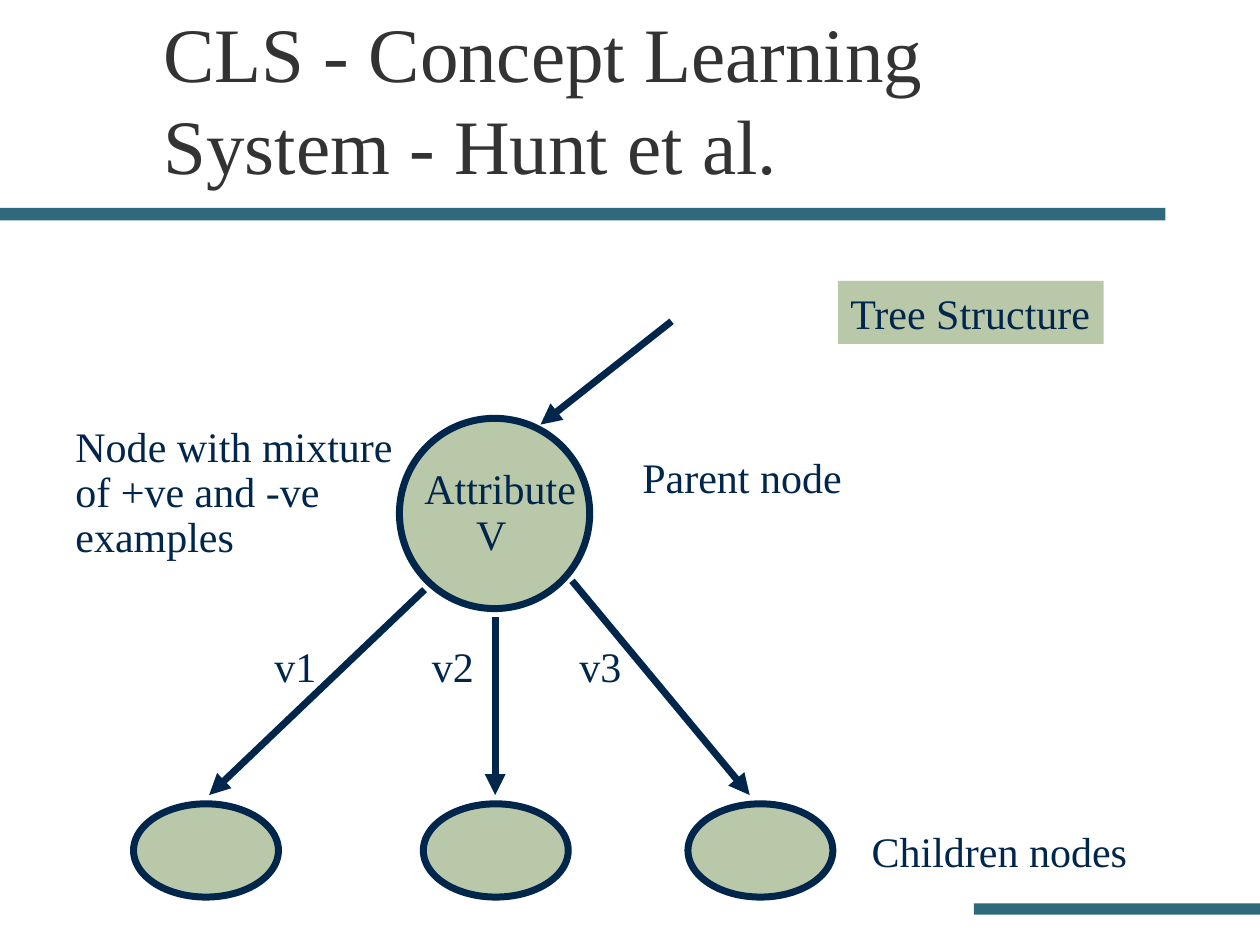
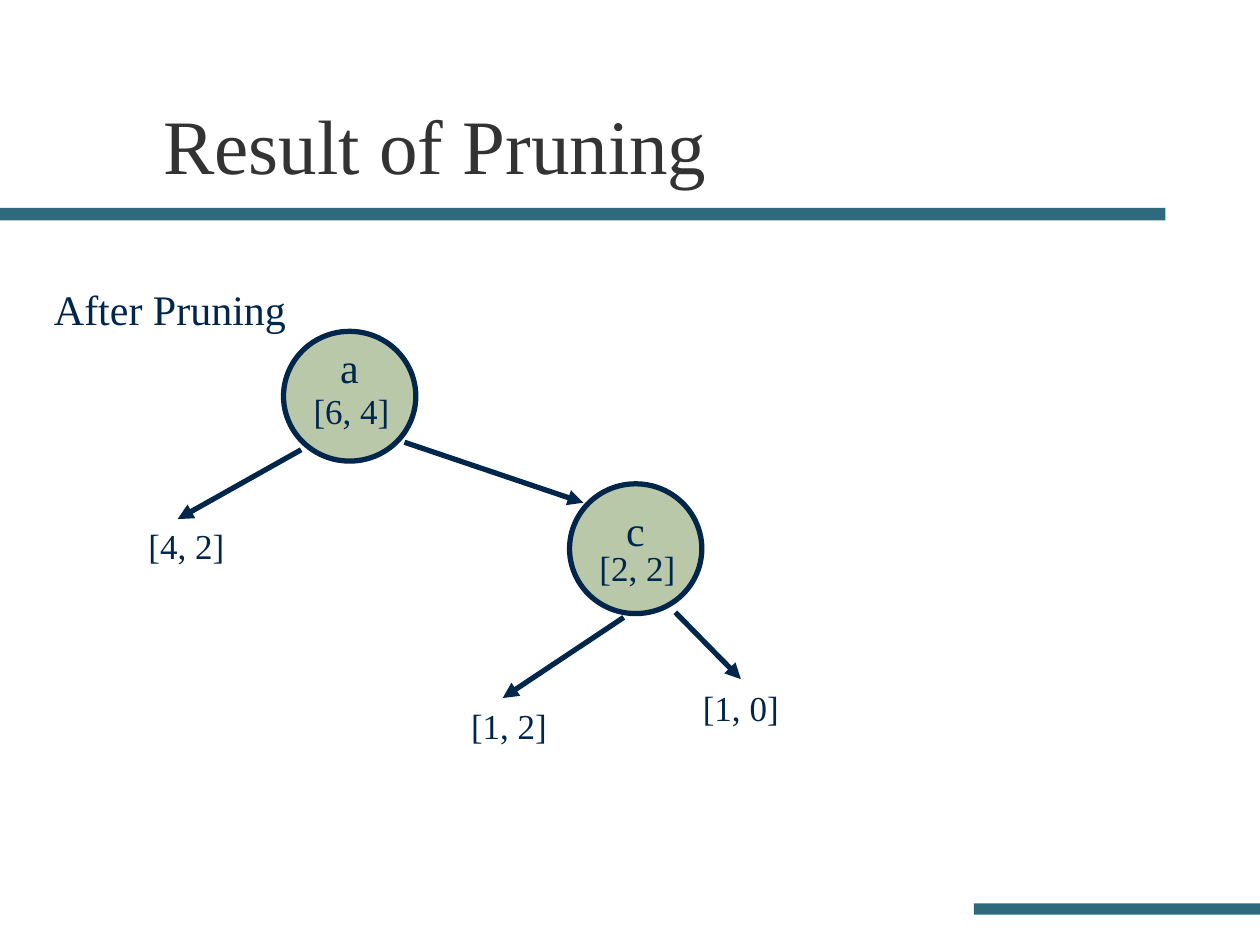
from dataclasses import dataclass
from typing import Any

from lxml import etree
from pptx import Presentation
from pptx.dml.color import RGBColor
from pptx.enum.shapes import MSO_CONNECTOR, MSO_SHAPE
from pptx.enum.text import MSO_ANCHOR
from pptx.oxml.ns import qn
from pptx.util import Pt

PX = 9144
FONT = "Times New Roman"
COLOURS = {"title": "333333", "band": "2E697E", "ink": "00264C", "node": "BAC8AA"}
RECTANGLE, OVAL = MSO_SHAPE.RECTANGLE, MSO_SHAPE.OVAL
STRAIGHT = MSO_CONNECTOR.STRAIGHT
BOTTOM = MSO_ANCHOR.BOTTOM


def colour(name):
    """Return the named colour."""
    return RGBColor.from_string(COLOURS[name])


def emu(*lengths):
    """Turn px into EMU."""
    return [length * PX for length in lengths]


@dataclass
class Region:
    """Part of a page whose shapes are placed from its top left corner."""

    page: Any
    left: int = 0
    top: int = 0
    stroke: int = 4

    def place(self, x, y):
        """Return a point of the region as a point of the page."""
        return self.left + x, self.top + y

    def shape(self, kind, x, y, width, height, fill, outlined=False):
        """Add a filled shape, with an ink outline if asked."""
        box = self.page.shapes.add_shape(kind, *emu(*self.place(x, y), width, height))
        box.shadow.inherit = False
        box.fill.solid()
        box.fill.fore_color.rgb = colour(fill)
        if outlined:
            box.line.color.rgb = colour("ink")
            box.line.width = Pt(self.stroke)
        else:
            box.line.fill.background()
        return box

    def text(self, words, x, y, width, height, size=24, ink="ink", spacing=0.9):
        """Add unwrapped text, one paragraph a line."""
        box = self.page.shapes.add_textbox(*emu(*self.place(x, y), width, height))
        frame = box.text_frame
        frame.word_wrap = False
        frame.text = words
        for para in frame.paragraphs:
            para.line_spacing = spacing
            para.font.name = FONT
            para.font.size = Pt(size)
            para.font.color.rgb = colour(ink)
        return frame

    def arrow(self, start, end):
        """Add a straight arrow from start to end."""
        line = self.page.shapes.add_connector(
            STRAIGHT, *emu(*self.place(*start), *self.place(*end)))
        line.line.color.rgb = colour("ink")
        line.line.width = Pt(self.stroke)
        etree.SubElement(line.line._get_or_add_ln(), qn("a:tailEnd"), type="triangle")
        etree.SubElement(line._element.spPr, qn("a:effectLst"))


def add_page(deck, title):
    """Add a page with the shared bands and title."""
    page = deck.slides.add_slide(deck.slide_layouts[6])
    whole = Region(page)
    whole.shape(RECTANGLE, 0, 165, 925, 10, "band")
    whole.shape(RECTANGLE, 773, 717, 227, 9, "band")
    frame = whole.text("", 120, 31, 850, 125, size=44, ink="title", spacing=1.0)
    frame.word_wrap = True
    frame.vertical_anchor = BOTTOM
    frame.paragraphs[0].text = title
    return page


def draw_concept_tree(region):
    """Draw the parent node, its three branches and the captions."""
    region.shape(OVAL, 267, 109, 151, 151, "node", outlined=True)
    region.arrow((483, 32), (379, 114))
    attribute = region.text("Attribute\nV", 277, 144, 140, 82)
    attribute.paragraphs[1]._p.get_or_add_pPr().set("marL", str(41 * PX))

    branches = [
        ("v1", 158, (287, 245), (116, 408), 56),
        ("v2", 283, (343, 267), (343, 408), 286),
        ("v3", 400, (404, 238), (545, 408), 496),
    ]
    for value, label_x, start, end, child_x in branches:
        region.arrow(start, end)
        region.shape(OVAL, child_x, 415, 115, 74, "node", outlined=True)
        region.text(value, label_x, 285, 53, 46)

    region.text("Node with mixture\nof +ve and -ve\nexamples", 0, 110, 272, 118)
    region.text("Parent node", 450, 135, 178, 46)
    region.text("Children nodes", 632, 427, 223, 50, spacing=1.0)
    region.shape(RECTANGLE, 615, 0, 211, 50, "node")
    region.text("Tree Structure", 615, 0, 211, 50, spacing=1.0)


def draw_pruned_tree(region):
    """Draw the tree that remains after pruning."""
    region.text("After Pruning", 0, 0, 204, 46)
    nodes = [("a", "[6, 4]", 192, 38, 8, 45), ("c", "[2, 2]", 419, 159, 16, 49)]
    for name, counts, x, y, name_drop, counts_drop in nodes:
        region.shape(OVAL, x, y, 105, 103, "node", outlined=True)
        region.text(name, x + 35, y + name_drop, 35, 46)
        region.text(counts, x + 14, y + counts_drop, 80, 40, size=20)

    arrows = [
        ((206, 132), (108, 187)),
        ((288, 126), (430, 174)),
        ((462, 265), (366, 329)),
        ((503, 261), (555, 314)),
    ]
    for start, end in arrows:
        region.arrow(start, end)

    for counts, x, y in [("[4, 2]", 75, 190), ("[1, 2]", 331, 333), ("[1, 0]", 515, 319)]:
        region.text(counts, x, y, 80, 40, size=20)


def main():
    """Build and save the deck."""
    deck = Presentation()
    deck.slide_width, deck.slide_height = emu(1000, 750)
    page = add_page(deck, "CLS - Concept Learning\nSystem - Hunt et al.")
    draw_concept_tree(Region(page, 50, 223))
    page = add_page(deck, "Result of Pruning")
    draw_pruned_tree(Region(page, 33, 225, stroke=3))
    deck.save("out.pptx")


if __name__ == "__main__":
    main()
